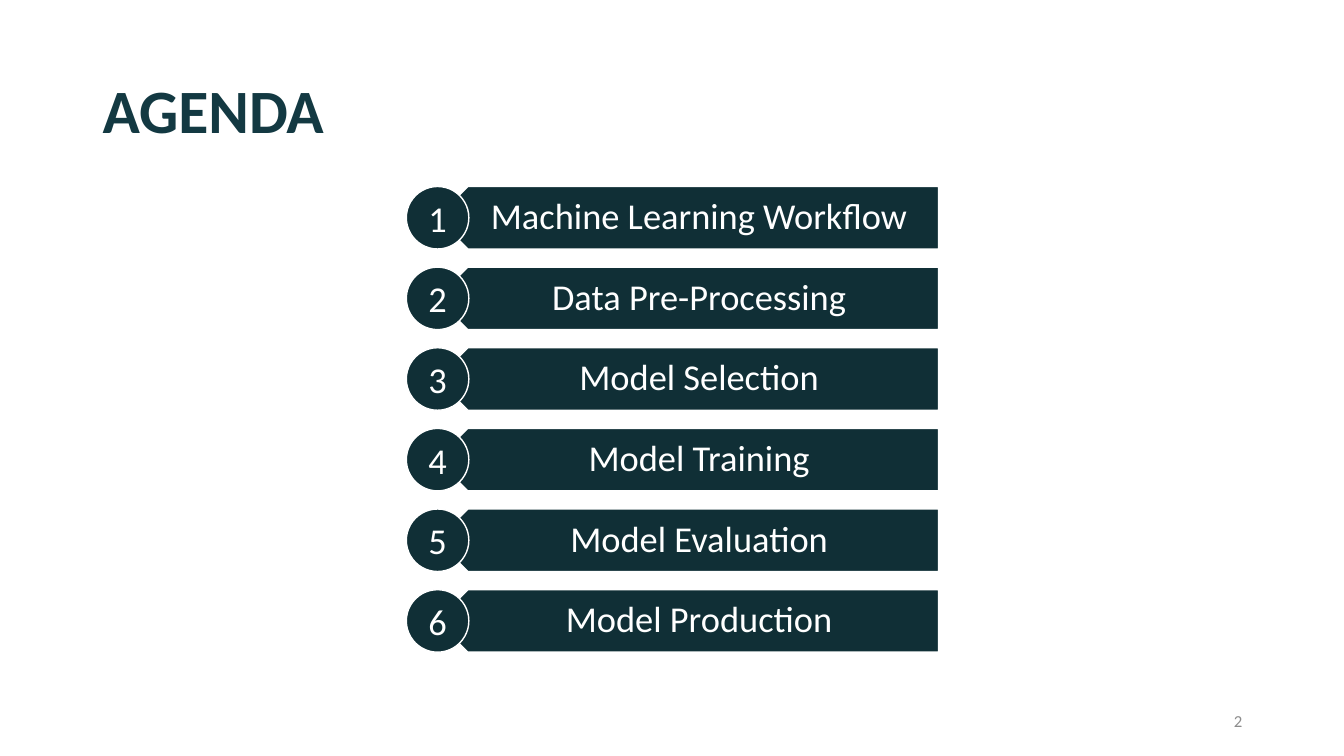
from pptx import Presentation
from pptx.dml.color import RGBColor
from pptx.enum.shapes import MSO_SHAPE
from pptx.enum.text import MSO_ANCHOR, PP_ALIGN
from pptx.util import Inches, Pt

BANNER_SHAPE = MSO_SHAPE.PENTAGON
CIRCLE_SHAPE = MSO_SHAPE.OVAL
MIDDLE = MSO_ANCHOR.MIDDLE
LEFT, CENTER, RIGHT = PP_ALIGN.LEFT, PP_ALIGN.CENTER, PP_ALIGN.RIGHT

FONT = "Calibri"
DARK_TEAL = "102F36"
TITLE_TEAL = "133942"
WHITE = "FFFFFF"
GRAY = "8C8C8C"

TOPICS = [
    "Machine Learning Workflow",
    "Data Pre-Processing",
    "Model Selection",
    "Model Training",
    "Model Evaluation",
    "Model Production",
]
FIRST_TOP = 1.85
ROW_PITCH = 0.8
ROW_HEIGHT = 0.62
TEXT_SIZE = 26


def color(hex_string):
    return RGBColor.from_string(hex_string)


def write(shape, text, size, hex_string, alignment, bold=False, line_spacing=1.0):
    frame = shape.text_frame
    frame.word_wrap = True
    frame.vertical_anchor = MIDDLE
    paragraph = frame.paragraphs[0]
    paragraph.text = text
    paragraph.alignment = alignment
    paragraph.line_spacing = line_spacing
    paragraph.font.name = FONT
    paragraph.font.size = Pt(size)
    paragraph.font.bold = bold
    paragraph.font.color.rgb = color(hex_string)


def add_text(slide, left, top, width, height, text, size, hex_string, alignment, **style):
    box = slide.shapes.add_textbox(Inches(left), Inches(top), Inches(width), Inches(height))
    write(box, text, size, hex_string, alignment, **style)
    return box


def add_filled_shape(slide, kind, left, top, width, height):
    shape = slide.shapes.add_shape(kind, Inches(left), Inches(top), Inches(width), Inches(height))
    shape.shadow.inherit = False
    shape.fill.solid()
    shape.fill.fore_color.rgb = color(DARK_TEAL)
    shape.line.color.rgb = color(WHITE)
    shape.line.width = Pt(1)
    return shape


def add_agenda_row(slide, number, topic, top):
    banner = add_filled_shape(slide, BANNER_SHAPE, 4.33, top, 4.98, ROW_HEIGHT)
    banner.rotation = 180
    label = add_text(slide, 4.49, top, 4.82, ROW_HEIGHT, topic, TEXT_SIZE, WHITE, CENTER, line_spacing=0.9)
    label.text_frame.margin_left = Inches(0.27)
    label.text_frame.margin_right = Inches(0.2)
    label.text_frame.margin_top = label.text_frame.margin_bottom = Inches(0.11)
    circle = add_filled_shape(slide, CIRCLE_SHAPE, 4.03, top, ROW_HEIGHT, ROW_HEIGHT)
    write(circle, str(number), TEXT_SIZE, WHITE, CENTER)


def main():
    presentation = Presentation()
    presentation.slide_width = Inches(13.33)
    presentation.slide_height = Inches(7.5)
    slide = presentation.slides.add_slide(presentation.slide_layouts[6])
    add_text(slide, 0.92, 0.4, 11.5, 1.45, "AGENDA", 44, TITLE_TEAL, LEFT, bold=True, line_spacing=0.9)
    for index, topic in enumerate(TOPICS):
        add_agenda_row(slide, index + 1, topic, FIRST_TOP + index * ROW_PITCH)
    add_text(slide, 9.42, 6.95, 3, 0.4, "2", 12, GRAY, RIGHT)
    presentation.save("out.pptx")


if __name__ == "__main__":
    main()
